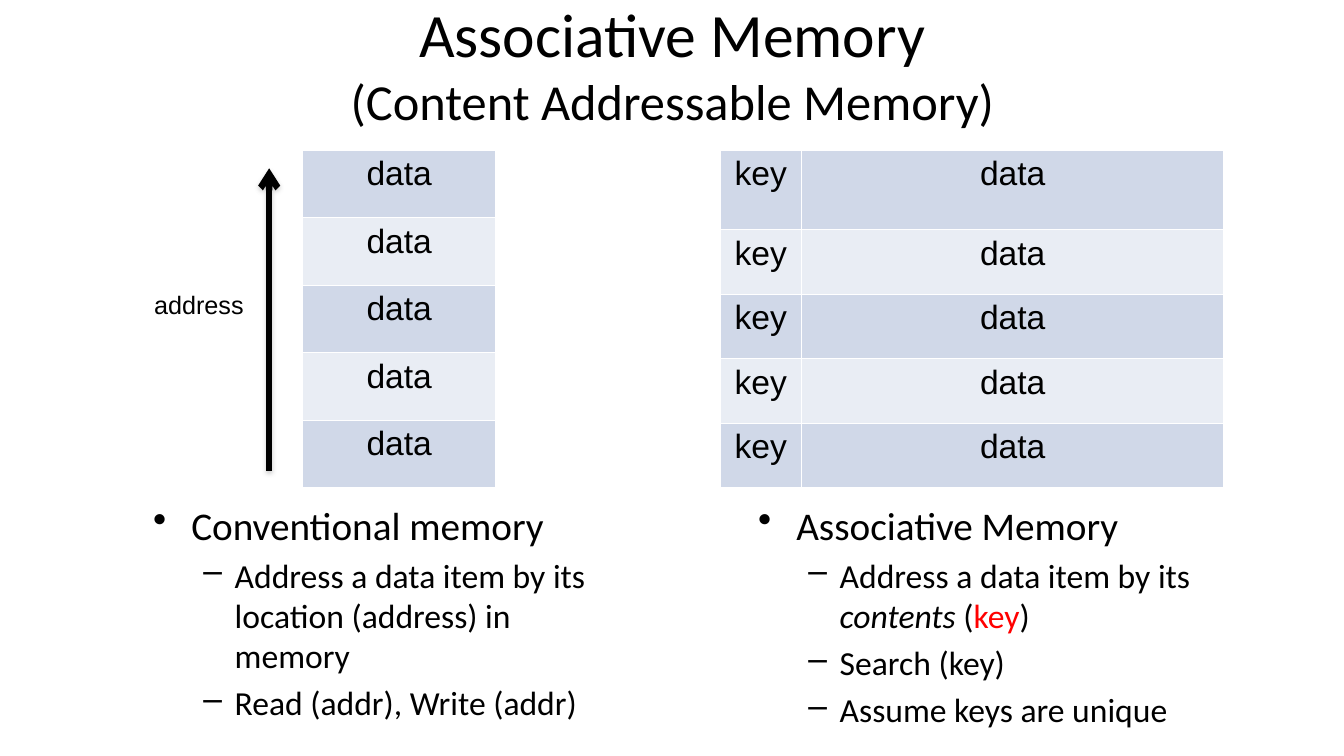
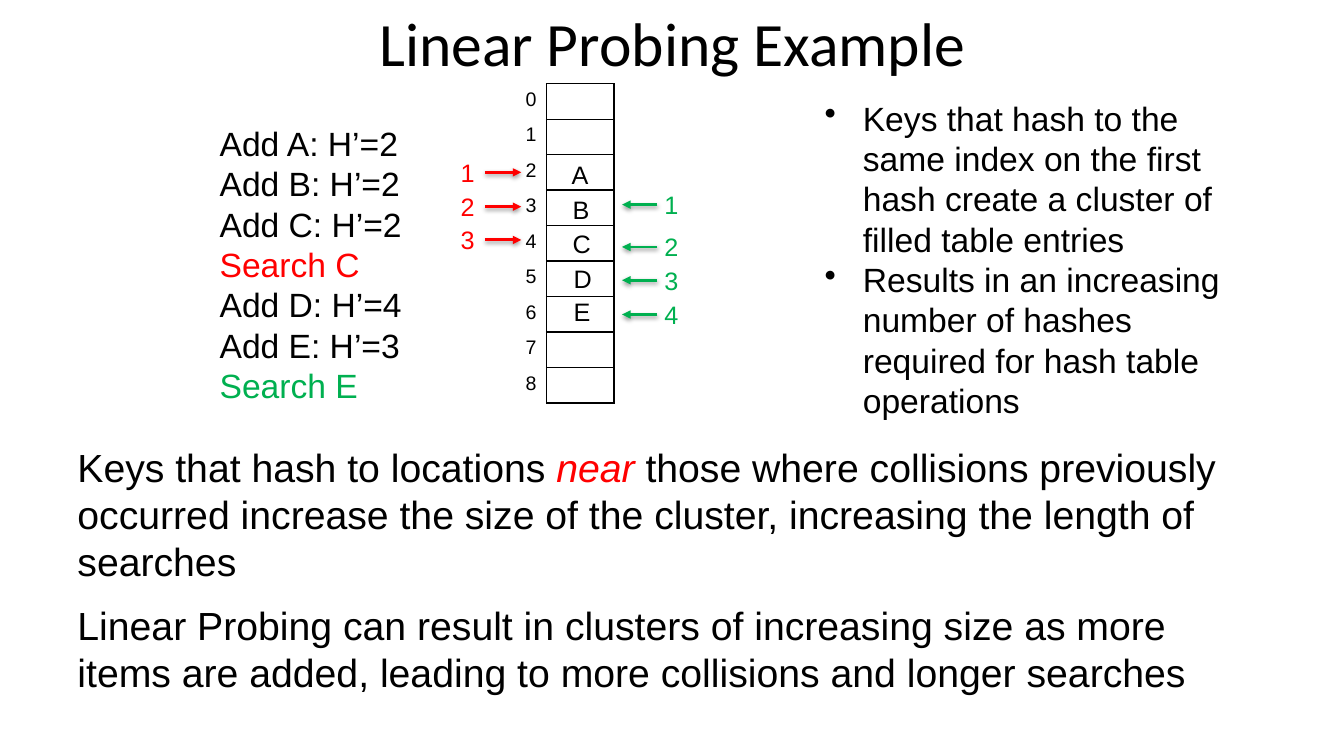
from lxml import etree
from pptx import Presentation, util as u
from pptx.dml.color import RGBColor
from pptx.enum import shapes, text
from pptx.oxml.ns import qn

PX = 9144  # EMU, 100 px to the inch
BLACK = RGBColor(0, 0, 0)
WHITE = RGBColor(255, 255, 255)
RED = RGBColor(255, 0, 0)
GREEN = RGBColor(0, 0xB0, 0x50)
GREY = RGBColor(0x80, 0x80, 0x80)
BANDS = (RGBColor(0xD0, 0xD8, 0xE8), RGBColor(0xE9, 0xED, 0xF4))
CLEAR = "{2D5ABB26-0587-4C30-8999-92F81FD0307C}"  # table style without grid
MARKS = (("•", 38, 38), ("–", 81, 31))  # sign, left, hang
LEFT, MID, RIGHT = text.PP_ALIGN.LEFT, text.PP_ALIGN.CENTER, text.PP_ALIGN.RIGHT


def add(node, tag, **attrs):
    return etree.SubElement(node, qn(tag), {k: str(v) for k, v in attrs.items()})


def put(frame, paras, size, color=BLACK, font="Arial", align=LEFT, levels="", gap=0):
    """Write paragraphs; each is a string or a list of (text, colour, italic).

    levels holds one bullet level per paragraph, gap the space before in lines.
    """
    for i, para in enumerate(paras):
        p = frame.paragraphs[0] if i == 0 else frame.add_paragraph()
        level = int(levels[i]) if levels else 0
        points = size - 4 * level
        if levels:
            sign, left, hang = MARKS[level]
            p.level = level
            props = p._p.get_or_add_pPr()
            props.set("marL", str(left * PX))
            props.set("indent", str(-hang * PX))
            add(props, "a:buChar", char=sign)
        p.alignment = align
        p.space_before = u.Pt(points * gap)
        p.font.size, p.font.name = u.Pt(points), font
        p.font.color.rgb = color
        if isinstance(para, str):
            p.text = para
            continue
        for words, tint, slant in para:
            run = p.add_run()
            run.text = words
            run.font.color.rgb = tint
            run.font.italic = slant


deck = Presentation()
deck.slide_width, deck.slide_height = 1333 * PX, 750 * PX

# Slides and titles
pages = []
for top, high, name in (
    (0, 125, "Associative Memory\v(Content Addressable Memory)"),
    (-8, 100, "Linear Probing Example"),
):
    page = deck.slides.add_slide(deck.slide_layouts[5])
    title = page.shapes.title
    title.left, title.top, title.width, title.height = (
        n * PX for n in (217, top, 900, high))
    title.text_frame.auto_size = text.MSO_AUTO_SIZE.NONE
    put(title.text_frame, [name], 44, font="Calibri", align=MID)
    pages.append(page)
memory, probing = pages
memory.shapes.title.text_frame.paragraphs[0].runs[1].font.size = u.Pt(36)

# Tables: page, left, top, widths, heights, rows, size, align, fills, border, pad
slots = [317 / 9] * 9
for page, left, top, wide, high, rows, size, align, fills, edge, pad in (
    (memory, 300, 149, [192], [67] * 5, [["data"]] * 5, 24, MID, BANDS, WHITE, 5),
    (memory, 714, 149, [81, 419], [79] + [64] * 4, [["key", "data"]] * 5,
     24, MID, BANDS, WHITE, 5),
    (probing, 492, 83, [50], slots, [[str(n)] for n in range(9)],
     14, RIGHT, None, None, 5),
    (probing, 542, 83, [67], slots, [[""]] * 9, 14, MID, None, BLACK, 0),
):
    frame = page.shapes.add_table(
        len(rows), len(wide), left * PX, top * PX, sum(wide) * PX, int(sum(high) * PX))
    grid = frame.table
    grid.first_row = grid.horz_banding = False
    next(frame.element.iter(qn("a:tableStyleId"))).text = CLEAR
    for col, width in zip(grid.columns, wide):
        col.width = width * PX
    for r, row in enumerate(rows):
        grid.rows[r].height = int(high[r] * PX)
        for c, word in enumerate(row):
            cell = grid.cell(r, c)
            cell.margin_top = cell.margin_bottom = pad * PX
            put(cell.text_frame, [word], size, align=align)
            if edge is not None:
                for side in "LRTB":
                    line = add(cell._tc.get_or_add_tcPr(), f"a:ln{side}", w=u.Pt(1))
                    add(add(line, "a:solidFill"), "a:srgbClr", val=edge)
            if fills:
                cell.fill.solid()
                cell.fill.fore_color.rgb = fills[r % 2]

# Wrapped text: page, box, paragraphs, and style
lists = {"font": "Calibri", "gap": 0.2}
for page, box, paras, size, style in (
    (memory, (142, 492, 467, 242), [
        "Conventional memory",
        "Address a data item by its location (address) in memory",
        "Read (addr), Write (addr)"], 28, {"levels": "011", **lists}),
    (memory, (742, 492, 492, 235), [
        "Associative Memory",
        [("Address a data item by its ", BLACK, False), ("contents", BLACK, True),
         (" (", BLACK, False), ("key", RED, False), (")", BLACK, False)],
        "Search (key)",
        "Assume keys are unique"], 28, {"levels": "0111", **lists}),
    (probing, (808, 92, 433, 333), [
        "Keys that hash to the same index on the first hash create a cluster of "
        "filled table entries",
        "Results in an increasing number of hashes required for hash table operations",
    ], 24, {"levels": "00"}),
    (probing, (67, 435, 1200, 151), [
        [("Keys that hash to locations ", BLACK, False), ("near", RED, True),
         (" those where collisions previously occurred increase the size of the "
          "cluster, increasing the length of searches", BLACK, False)]], 28, {}),
    (probing, (67, 592, 1200, 142), [
        "Linear Probing can result in clusters of increasing size as more items are "
        "added, leading to more collisions and longer searches"], 28, {}),
):
    frame = page.shapes.add_textbox(*(n * PX for n in box)).text_frame
    frame.word_wrap = True
    put(frame, paras, size, **style)

# Unwrapped labels and arrows
labels = [
    (memory, (143, 282, 110, 40), ["address"], 18, BLACK),
    (probing, (208, 117, 201, 293), [
        "Add A: H’=2", "Add B: H’=2", "Add C: H’=2", [("Search C", RED, False)],
        "Add D: H’=4", "Add E: H’=3", [("Search E", GREEN, False)]], 24, BLACK),
]
for key, x, y in zip("ABCDE", (557, 558, 558, 559, 559), (153, 188, 222, 256, 289)):
    labels.append((probing, (x, y, 38, 40), [key], 18, BLACK))

arrows = [(memory, (267, 467, 267, 167), BLACK, 4.5, "arrow", GREY)]
for color, x, start, end, tops in (
    (RED, 447, 481, 517, (151, 185, 218)),
    (GREEN, 649, 652, 617, (183, 225, 258, 292)),
):
    for step, y in enumerate(tops, 1):
        labels.append((probing, (x, y, 34, 40), [str(step)], 18, color))
        arrows.append(
            (probing, (start, y + 20, end, y + 20), color, 2, "triangle", BLACK))

for page, box, paras, size, color in labels:
    frame = page.shapes.add_textbox(*(n * PX for n in box)).text_frame
    frame.word_wrap = False
    frame.auto_size = text.MSO_AUTO_SIZE.SHAPE_TO_FIT_TEXT
    put(frame, paras, size, color)

for page, ends, color, width, head, shade in arrows:
    arrow = page.shapes.add_connector(
        shapes.MSO_CONNECTOR.STRAIGHT, *(n * PX for n in ends))
    arrow.line.color.rgb, arrow.line.width = color, u.Pt(width)
    add(next(arrow.element.iter(qn("a:ln"))), "a:tailEnd", type=head)
    glow = add(add(arrow.element.spPr, "a:effectLst"), "a:outerShdw",
               blurRad=40000, dist=20000, dir=5400000, rotWithShape=0)
    add(add(glow, "a:srgbClr", val=shade), "a:alpha", val=38000)

deck.save("out.pptx")
